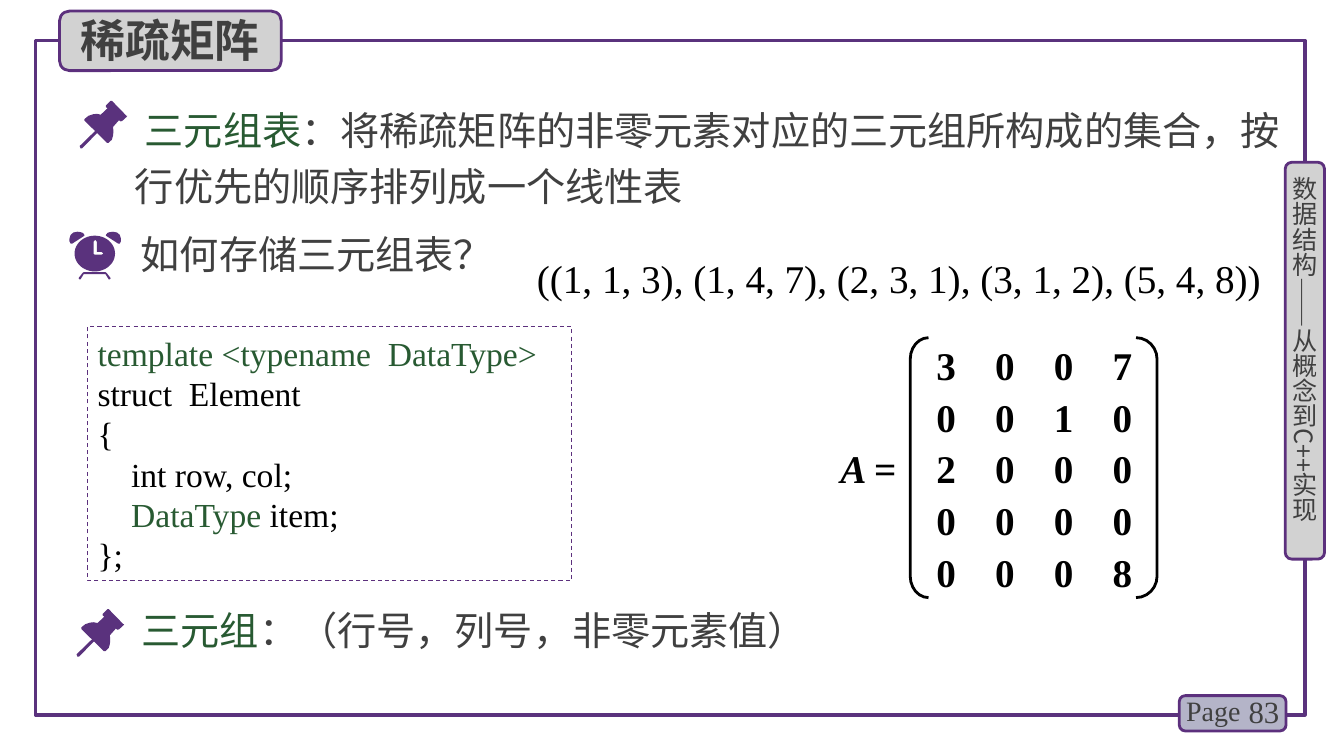
from dataclasses import dataclass
from math import cos, pi, sin

from lxml.etree import SubElement
from pptx import Presentation
from pptx.dml.color import RGBColor
from pptx.enum.dml import MSO_LINE
from pptx.enum.shapes import MSO_SHAPE as Preset
from pptx.enum.text import MSO_ANCHOR as Anchor, PP_ALIGN as Align
from pptx.oxml.ns import qn
from pptx.shapes.autoshape import Shape
from pptx.slide import Slide
from pptx.util import Cm, Pt

Point = tuple[float, float]
Contour = list[Point]
Run = tuple[str, str]  # wording and colour


@dataclass(frozen=True)
class Theme:
    purple: str = "5A327D"
    border: str = "5C307D"
    grey: str = "D2D2D2"
    lilac: str = "B4B4C8"
    ink: str = "404040"
    black: str = "000000"
    green: str = "285A32"
    sans: str = "Noto Sans CJK SC"
    serif: str = "Times New Roman"
    title: float = 32
    body: float = 28
    code: float = 24
    number: float = 22
    page: float = 20
    side: float = 18


THEME = Theme()


@dataclass(frozen=True)
class Box:
    left: float
    top: float
    width: float
    height: float

    def lengths(self) -> tuple[Cm, Cm, Cm, Cm]:
        return Cm(self.left), Cm(self.top), Cm(self.width), Cm(self.height)


@dataclass(frozen=True)
class Panel:
    box: Box
    preset: Preset = Preset.ROUNDED_RECTANGLE
    fill: str | None = None
    line: str = THEME.border
    weight: float = 2
    adjustment: float | None = None
    dashed: bool = False


@dataclass(frozen=True)
class Label:
    box: Box
    paragraphs: list[list[Run]]
    size: float
    font: str = THEME.sans
    bold: bool = False
    align: Align = Align.LEFT
    anchor: Anchor = Anchor.MIDDLE
    spacing: Pt | float | None = None
    indent: float = 0
    tabs: tuple[float, ...] = ()
    inset: bool = True
    vertical: bool = False


def color(value: str) -> RGBColor:
    return RGBColor.from_string(value)


def draw_panel(slide: Slide, panel: Panel) -> Shape:
    shape = slide.shapes.add_shape(panel.preset, *panel.box.lengths())
    shape.shadow.inherit = False
    if panel.fill:
        shape.fill.solid()
        shape.fill.fore_color.rgb = color(panel.fill)
    else:
        shape.fill.background()
    shape.line.color.rgb = color(panel.line)
    shape.line.width = Pt(panel.weight)
    if panel.dashed:
        shape.line.dash_style = MSO_LINE.DASH
    if panel.adjustment is not None:
        shape.adjustments[0] = panel.adjustment
    return shape


def write_label(shape: Shape, label: Label) -> None:
    frame = shape.text_frame
    frame.word_wrap = True
    frame.vertical_anchor = label.anchor
    if not label.inset:
        frame.margin_left = frame.margin_right = 0
        frame.margin_top = frame.margin_bottom = 0
    if label.vertical:
        shape.element.txBody.bodyPr.set("vert", "eaVert")
    for index, runs in enumerate(label.paragraphs):
        paragraph = frame.add_paragraph() if index else frame.paragraphs[0]
        properties = paragraph._p.get_or_add_pPr()
        if label.indent:
            properties.set("indent", str(Cm(label.indent)))
        if label.tabs:
            tab_list = SubElement(properties, qn("a:tabLst"))
            for stop in label.tabs:
                SubElement(tab_list, qn("a:tab"), pos=str(Cm(stop)), algn="l")
        paragraph.alignment = label.align
        if label.spacing:
            paragraph.line_spacing = label.spacing
        font = paragraph.font
        font.size, font.name, font.bold = Pt(label.size), label.font, label.bold
        SubElement(properties.find(qn("a:defRPr")), qn("a:ea"), typeface=label.font)
        for wording, run_color in runs:
            run = paragraph.add_run()
            run.text = wording
            run.font.color.rgb = color(run_color)


def draw_label(slide: Slide, label: Label) -> Shape:
    shape = slide.shapes.add_textbox(*label.box.lengths())
    write_label(shape, label)
    return shape


def draw_outline(slide: Slide, contours: list[Contour], left: float, top: float) -> None:
    """Fill one outline; contours after the first cut holes."""
    placed = [[(Cm(left + x), Cm(top + y)) for x, y in contour] for contour in contours]
    builder = slide.shapes.build_freeform(*placed[0][0])
    for index, points in enumerate(placed):
        if index:
            builder.move_to(*points[0])
        builder.add_line_segments(points[1:], close=True)
    shape = builder.convert_to_shape()
    shape.shadow.inherit = False
    shape.fill.solid()
    shape.fill.fore_color.rgb = color(THEME.purple)
    shape.line.fill.background()


# Icon outlines, in centimetres from the icon's corner
PIN_HEAD = [(1.18, .38), (.81, 0), (.78, 0), (.66, .12), (.66, .16), (.7, .19), (.53, .35),
            (.43, .33), (.34, .34), (.22, .38), (.12, .46), (.12, .5), (.69, 1.06),
            (.73, 1.06), (.81, .98), (.84, .88), (.85, .77), (.84, .66), (.99, .49),
            (1.03, .52), (1.07, .51), (1.18, .41), (1.2, .38)]
PIN_NEEDLE = [(.02, 1.2), (0, 1.14), (.41, .74), (.46, .74), (.46, .79), (.06, 1.2)]
CLOCK_FEET = [(1.04, 1.17), (.94, 1.04), (.91, 1.02), (.36, 1.02), (.33, 1.04), (.23, 1.17),
              (.25, 1.2), (.28, 1.2), (.36, 1.07), (.91, 1.07), (.99, 1.2), (1.02, 1.2)]
LEFT_BELL = [(.2, 0), (.1, .02), (.03, .08), (0, .18), (0, .24), (.03, .3), (.07, .3),
             (.38, .1), (.38, .08), (.34, .03), (.28, .01)]
RIGHT_BELL = [(1.3 - x, y) for x, y in LEFT_BELL]
CLOCK_FACE = [(.64 + .51 * cos(pi * step / 24), .55 + .45 * sin(pi * step / 24))
              for step in range(48)]
CLOCK_HANDS = [(.81, .58), (.64, .58), (.61, .56), (.61, .25), (.65, .2), (.69, .25),
               (.69, .51), (.81, .51), (.86, .55)]
PIN = [[PIN_HEAD], [PIN_NEEDLE]]
CLOCK = [[CLOCK_FEET], [LEFT_BELL], [RIGHT_BELL], [CLOCK_FACE, CLOCK_HANDS]]
ICONS = [(PIN, 2.01, 2.54), (CLOCK, 1.75, 5.84), (PIN, 1.93, 15.35)]

PANELS = [
    Panel(Box(.89, 1.02, 32, 17), Preset.RECTANGLE, line=THEME.purple, weight=2.25),
    Panel(Box(29.72, 17.53, 2.69, .89), fill=THEME.lilac),
    Panel(Box(32.39, 4.09, .99, 10), fill=THEME.grey),
    Panel(Box(1.5, .28, 5.59, 1.5), fill=THEME.grey),
    Panel(Box(22.94, 8.51, .46, 6.55), Preset.LEFT_BRACKET, line=THEME.black, adjustment=1.17),
    Panel(Box(28.63, 8.51, .53, 6.55), Preset.RIGHT_BRACKET, line=THEME.black, adjustment=1.02),
]

MATRIX = [(3, 0, 0, 7), (0, 0, 1, 0), (2, 0, 0, 0), (0, 0, 0, 0), (0, 0, 0, 8)]
COLUMN = 1.48

LABELS = [
    # Frame: page number and course name
    Label(Box(30.99, 17.42, 1.5, 1.02), [[("83", THEME.ink)]], THEME.number, THEME.serif,
          align=Align.RIGHT),
    Label(Box(29.64, 17.35, 1.98, 1.12), [[("Page", THEME.ink)]], THEME.page, THEME.serif),
    Label(Box(32.49, 4.45, .76, 9.6), [[("数据结构——从概念到C++实现", THEME.ink)]], THEME.side,
          inset=False, vertical=True),
    # Heading and statements
    Label(Box(1.78, .18, 5.38, 1.63), [[("稀疏矩阵", THEME.ink)]], THEME.title, bold=True),
    Label(Box(3.15, 2.34, 29.79, 3), [[
        ("三元组表", THEME.green),
        ("：将稀疏矩阵的非零元素对应的三元组所构成的集合，按行优先的顺序排列成一个线性表", THEME.ink),
    ]], THEME.body, anchor=Anchor.TOP, spacing=Pt(40), indent=.25),
    Label(Box(3.3, 5.66, 9.96, 1.45), [[("如何存储三元组表？", THEME.ink)]], THEME.body),
    Label(Box(3.07, 15.14, 18, 1.45), [[
        ("三元组", THEME.green), ("：（行号，列号，非零元素值）", THEME.ink),
    ]], THEME.body, indent=.25),
    Label(Box(13.28, 6.27, 19.1, 1.45),
          [[("((1, 1, 3), (1, 4, 7), (2, 3, 1), (3, 1, 2), (5, 4, 8))", THEME.black)]],
          THEME.body, THEME.serif),
    # Matrix values
    Label(Box(23.6, 8.48, 5.79, 6.73),
          [[("\t".join(map(str, row)), THEME.black)] for row in MATRIX],
          THEME.body, THEME.serif, bold=True, anchor=Anchor.TOP, spacing=1.1,
          tabs=tuple(COLUMN * column for column in (1, 2, 3)), inset=False),
]

MATRIX_NAME = Label(Box(21.18, 11.2, 1.7, 1.27), [[("A ", THEME.black), ("=", THEME.black)]],
                    THEME.body, THEME.serif, bold=True, anchor=Anchor.TOP, inset=False)

CODE_PANEL = Panel(Box(2.21, 8.23, 12.19, 6.4), Preset.RECTANGLE, weight=.75, dashed=True)
CODE = Label(CODE_PANEL.box, [
    [("template <typename  DataType>", THEME.green)],
    [("struct  Element", THEME.black)],
    [("{", THEME.black)],
    [("    int row, col;", THEME.black)],
    [("    ", THEME.black), ("DataType ", THEME.green), ("item;", THEME.black)],
    [("};", THEME.black)],
], THEME.code, THEME.serif)


def main() -> None:
    presentation = Presentation()
    presentation.slide_width, presentation.slide_height = Cm(33.87), Cm(19.05)
    slide = presentation.slides.add_slide(presentation.slide_layouts[6])
    for panel in PANELS:
        draw_panel(slide, panel)
    for label in LABELS:
        draw_label(slide, label)
    matrix_name = draw_label(slide, MATRIX_NAME)
    matrix_name.text_frame.paragraphs[0].runs[0].font.italic = True
    write_label(draw_panel(slide, CODE_PANEL), CODE)
    for outlines, left, top in ICONS:
        for contours in outlines:
            draw_outline(slide, contours, left, top)
    presentation.save("out.pptx")


if __name__ == "__main__":
    main()
